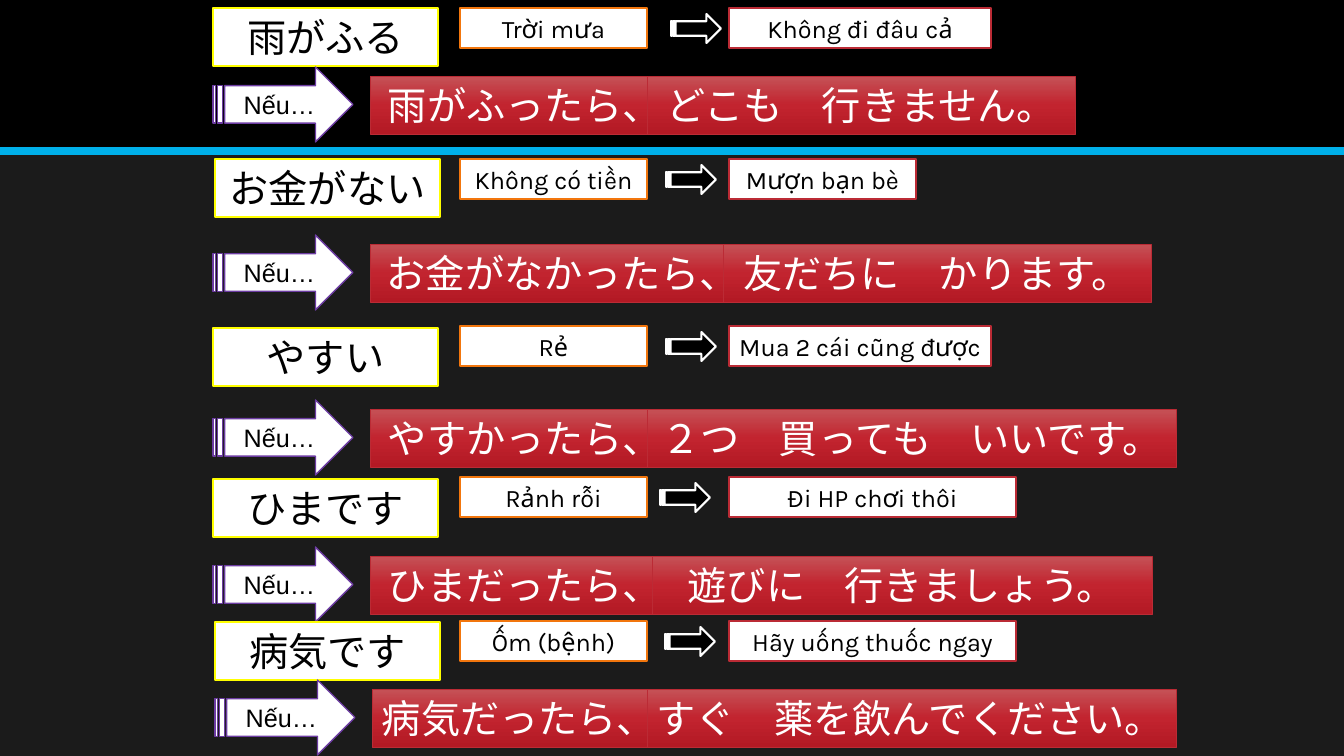
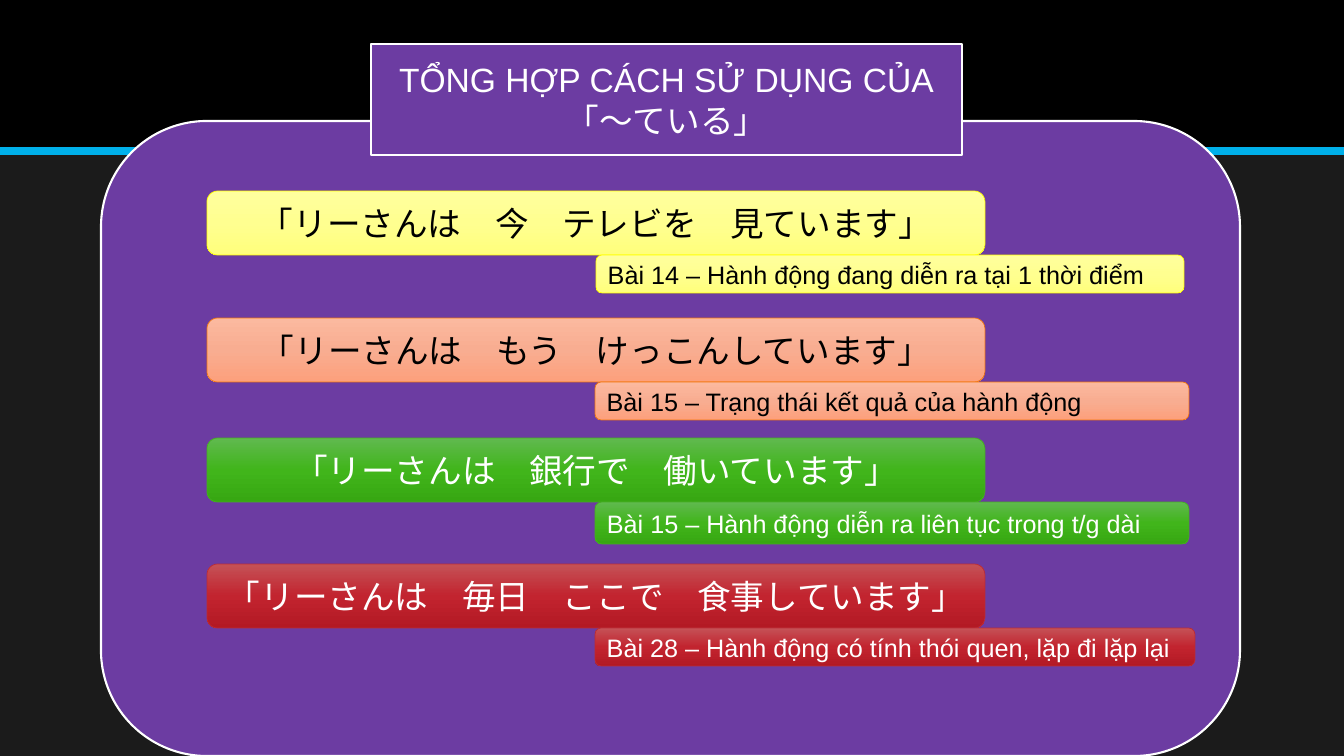
from lxml import etree
from pptx import Presentation
from pptx import util as u
from pptx.dml.color import RGBColor
from pptx.enum import shapes, text
from pptx.oxml.ns import qn


class Theme:
    back, band, bar = "1B1B1B", "000000", "00B0EA"
    white, black, violet = "FFFFFF", "000000", "6C3CA2"
    # Each gradient is top, middle, bottom; its edge has the same name
    grad = {
        "yellow": ("FFFF9E", "FFFF90", "FFFF7C"),
        "orange": ("FBB99F", "F8AD91", "FDA07C"),
        "green": ("60B94F", "41B51B", "37A712"),
        "red": ("C55257", "C2242F", "B31924"),
    }
    edge = {"yellow": "FFFF00", "orange": "F2760D", "green": "45AE22", "red": "BB2B35"}
    big, head, small = 28, 24, 18
    kana, sans, chip = "Calibri", "Arial", "Karla"


PX = 12192000 / 1344
RECT = shapes.MSO_SHAPE.RECTANGLE
ROUND = shapes.MSO_SHAPE.ROUNDED_RECTANGLE
ARROW = shapes.MSO_SHAPE.STRIPED_RIGHT_ARROW
LEFT, MID = text.PP_ALIGN.LEFT, text.PP_ALIGN.CENTER


def draw(sld, kind, at, fill, line=None, pt=1, shp=None):
    """Place a shape; fill is a hex colour or the name of a gradient."""
    at = [round(v * PX) for v in at]
    if shp is None:
        shp = sld.shapes.add_shape(kind, *at)
    shp.left, shp.top, shp.width, shp.height = at
    shp.shadow.inherit = False
    if fill in Theme.grad:
        shp.fill.gradient()
        shp.fill.gradient_angle = 270
        stops = next(shp.element.iter(qn("a:gsLst")))
        for old in list(stops):
            stops.remove(old)
        for n, tone in enumerate(Theme.grad[fill]):
            stop = etree.SubElement(stops, qn("a:gs"), pos=str(n * 50000))
            etree.SubElement(stop, qn("a:srgbClr"), val=tone)
    else:
        shp.fill.solid()
        shp.fill.fore_color.rgb = RGBColor.from_string(fill)
    if line:
        shp.line.color.rgb = RGBColor.from_string(line)
        shp.line.width = u.Pt(pt)
    else:
        shp.line.fill.background()
    return shp


def write(shp, runs, size, color, align=MID, grow=False):
    """Write one paragraph for each (words, font) pair."""
    frame = shp.text_frame
    frame.word_wrap = True
    auto = text.MSO_AUTO_SIZE
    frame.auto_size = auto.SHAPE_TO_FIT_TEXT if grow else auto.NONE
    frame.vertical_anchor = text.MSO_ANCHOR.TOP if grow else text.MSO_ANCHOR.MIDDLE
    for n, (words, font) in enumerate(runs):
        para = frame.paragraphs[0] if n == 0 else frame.add_paragraph()
        para.alignment = align
        run = para.add_run()
        run.text = words
        run.font.name = font
        run.font.size = u.Pt(size)
        run.font.color.rgb = RGBColor.from_string(color)


prs = Presentation()
prs.slide_width, prs.slide_height = round(1344 * PX), round(756 * PX)

# Shared master: dark ground, black band and blue bar
master = prs.slide_master
master.background.fill.solid()
master.background.fill.fore_color.rgb = RGBColor.from_string(Theme.back)
sld = prs.slides.add_slide(prs.slide_layouts[6])
band = draw(sld, RECT, (0, 0, 1344, 151), Theme.band)
bar = sld.shapes.add_connector(
    shapes.MSO_CONNECTOR.STRAIGHT, 0, round(151 * PX), prs.slide_width, round(151 * PX))
bar.line.color.rgb = RGBColor.from_string(Theme.bar)
bar.line.width = u.Pt(6)
etree.SubElement(bar.element.spPr, qn("a:effectLst"))
for spot, part in enumerate((band, bar), 2):
    master.shapes.element.insert(spot, part.element)

# Slide 1: five conditions, each with cause, result and full sentence
# Words: phrase, cause, result, if-clause, main clause
# Places: row left, phrase left and top, chip top, small arrow left,
# result width, big arrow top, clause width, main left and width
rows = [
    (("雨がふる", "Trời mưa", "Không đi đâu cả", "雨がふったら、", "どこも　行きません。"),
     (213, 213, 8, 8, 671, 262, 67, 310, 647, 428), MID),
    (("お金がない", "Không có tiền", "Mượn bạn bè", "お金がなかったら、", "友だちに　かります。"),
     (213, 215, 159, 159, 666, 187, 235, 386, 723, 428), MID),
    (("やすい", "Rẻ", "Mua 2 cái cũng được", "やすかったら、", "２つ　買っても　いいです。"),
     (213, 213, 328, 326, 666, 262, 400, 310, 647, 529), MID),
    (("ひまです", "Rảnh rỗi", "Đi HP chơi thôi", "ひまだったら、", "遊びに　行きましょう。"),
     (213, 213, 479, 477, 660, 287, 547, 310, 652, 500), MID),
    (("病気です", "Ốm (bệnh)", "Hãy uống thuốc ngay", "病気だったら、", "すぐ　薬を飲んでください。"),
     (215, 215, 622, 621, 665, 287, 680, 367, 647, 529), LEFT),
]
for words, spots, align in rows:
    phrase, cause, result, clause, main = words
    left, px, py, cy, ax, rw, ay, cw, mx, mw = spots
    box = draw(sld, RECT, (px, py, 225, 58), Theme.white, Theme.edge["yellow"])
    write(box, [(phrase, Theme.kana)], Theme.big, Theme.black, grow=True)
    for label, x, wide, edge in ((cause, 460, 187, "orange"), (result, 729, rw, "red")):
        box = draw(sld, RECT, (x, cy, wide, 40), Theme.white, Theme.edge[edge])
        write(box, [(label, Theme.chip)], Theme.small, Theme.black, grow=True)
    draw(sld, ARROW, (ax, cy + 6, 50, 29), Theme.black, Theme.white, 1.5)
    arrow = draw(sld, ARROW, (left, ay, 140, 75), Theme.white, Theme.violet)
    write(arrow, [("Nếu…", Theme.sans)], Theme.small, Theme.black)
    for label, x, wide in ((clause, left + 157, cw), (main, mx, mw)):
        box = draw(sld, RECT, (x, ay + 9, wide, 58), "red", Theme.edge["red"], 0.5)
        write(box, [(label, Theme.kana)], Theme.big, Theme.white, align, grow=True)

# Slide 2: panel with a rounded title on its top edge
sld = prs.slides.add_slide(prs.slide_layouts[5])
draw(sld, ROUND, (101, 121, 1139, 635), Theme.violet, Theme.white, 1.5)
title = sld.shapes.title
sld.shapes.element.append(title.element)
geom = etree.SubElement(title.element.spPr, qn("a:prstGeom"), prst="roundRect")
etree.SubElement(geom, qn("a:avLst"))
draw(sld, ROUND, (371, 44, 591, 111), Theme.violet, Theme.white, 1.5, title)
write(title, [("TỔNG HỢP CÁCH SỬ DỤNG CỦA", Theme.sans), ("「～ている」", Theme.kana)],
      Theme.head, Theme.white)

# Four examples, each with a lesson note below
cases = [
    ("yellow", Theme.black, 191, 596, 588, 38, "「リーさんは　今　テレビを　見ています」",
     "Bài 14 – Hành động đang diễn ra tại 1 thời điểm"),
    ("orange", Theme.black, 318, 595, 594, 38, "「リーさんは　もう　けっこんしています」",
     "Bài 15 – Trạng thái kết quả của hành động"),
    ("green", Theme.white, 438, 595, 594, 42, "「リーさんは　銀行で　働いています」",
     "Bài 15 – Hành động diễn ra liên tục trong t/g dài"),
    ("red", Theme.white, 564, 595, 600, 38, "「リーさんは　毎日　ここで　食事しています」",
     "Bài 28 – Hành động có tính thói quen, lặp đi lặp lại"),
]
for hue, ink, y, x, wide, high, line, note in cases:
    box = draw(sld, ROUND, (207, y, 778, 64), hue, Theme.edge[hue], 0.5)
    write(box, [(line, Theme.kana)], Theme.head, ink)
    box = draw(sld, ROUND, (x, y + 64, wide, high), hue, Theme.edge[hue], 0.5)
    write(box, [(note, Theme.sans)], Theme.small, ink, LEFT)

prs.save("out.pptx")
